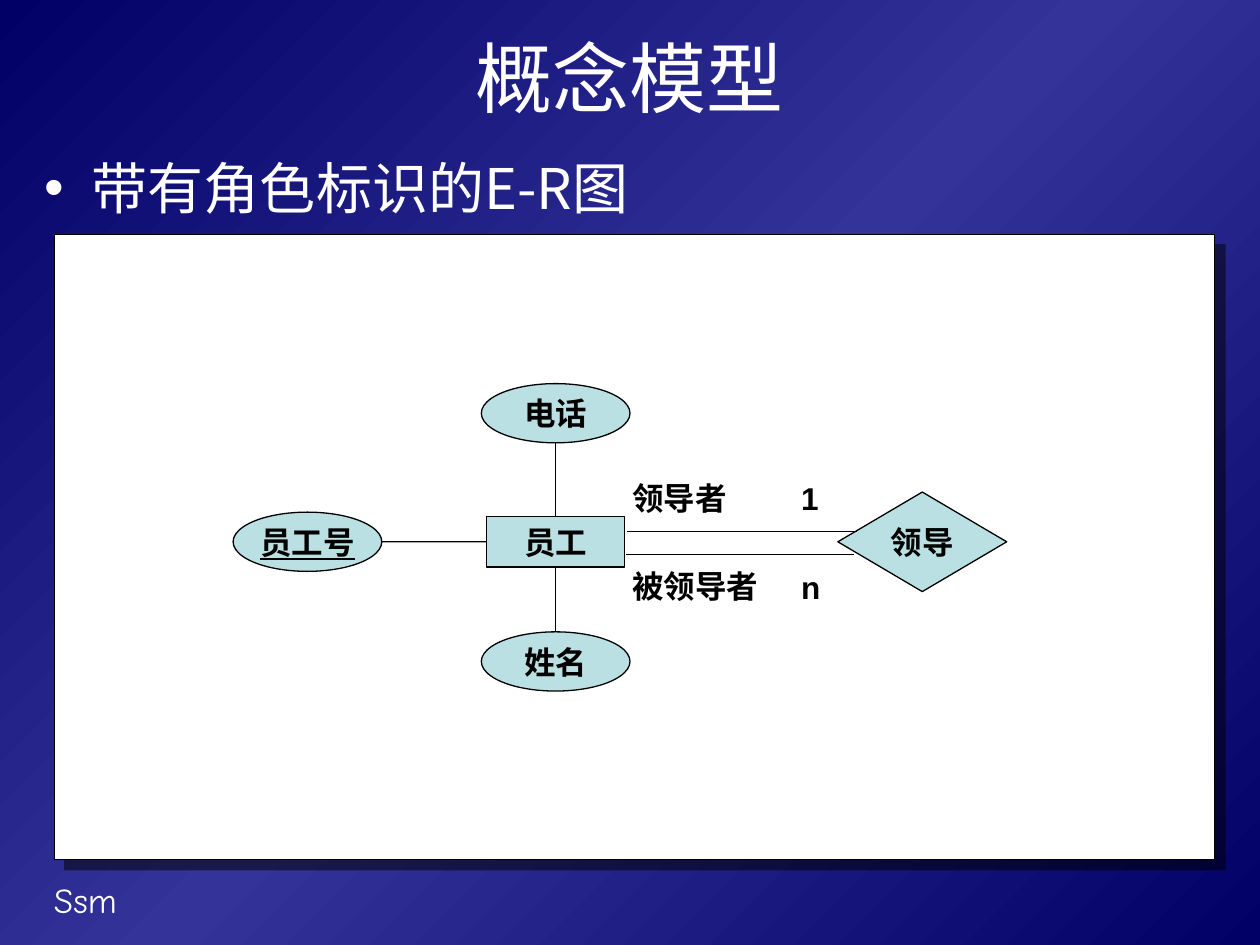
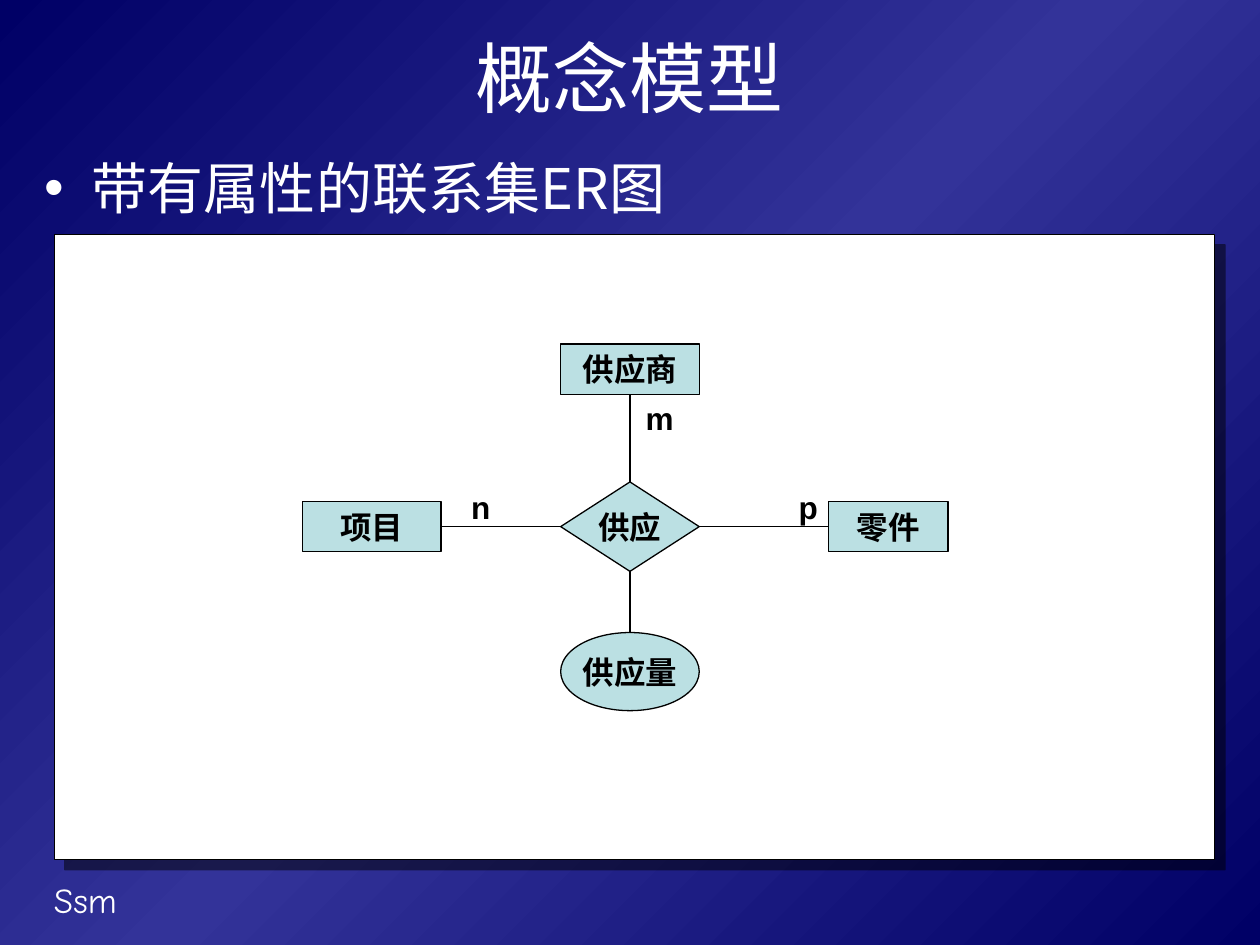
from copy import deepcopy
from dataclasses import dataclass

from lxml.etree import SubElement
from pptx import Presentation
from pptx.dml.color import RGBColor
from pptx.enum.shapes import MSO_CONNECTOR, MSO_SHAPE
from pptx.enum.text import MSO_ANCHOR, MSO_AUTO_SIZE, PP_ALIGN
from pptx.oxml.ns import qn
from pptx.util import Inches, Pt

TITLE = "概念模型"
FOOTER = "Ssm"

# Nodes: name -> (kind, centre, size); links: (node, side) pairs;
# role_lines: (from, to); labels: (text, box)
SLIDES = [
    {
        "heading": "带有角色标识的E-R图",
        "nodes": {
            "员工": ("entity", (4.41, 4.3), (1.1, 0.4)),
            "员工号": ("attribute", (2.44, 4.3), (1.18, 0.47)),
            "电话": ("attribute", (4.41, 3.28), (1.18, 0.47)),
            "姓名": ("attribute", (4.41, 5.25), (1.18, 0.47)),
            "领导": ("relationship", (7.32, 4.3), (1.34, 0.79)),
        },
        "key": "员工号",
        "links": [
            (("员工号", "right"), ("员工", "left")),
            (("电话", "bottom"), ("员工", "top")),
            (("员工", "bottom"), ("姓名", "top")),
        ],
        "role_lines": [((4.98, 4.22), (6.8, 4.22)), ((4.97, 4.4), (6.78, 4.4))],
        "labels": [
            ("领导者", (4.92, 3.75, 1.18, 0.4)),
            ("1", (6.26, 3.75, 0.39, 0.4)),
            ("被领导者", (4.92, 4.45, 1.42, 0.4)),
            ("n", (6.26, 4.46, 0.39, 0.4)),
        ],
        "label_style": (PP_ALIGN.LEFT, MSO_ANCHOR.TOP),
    },
    {
        "heading": "带有属性的联系集ER图",
        "nodes": {
            "供应商": ("entity", (5, 2.93), (1.1, 0.4)),
            "零件": ("entity", (7.05, 4.18), (0.95, 0.4)),
            "项目": ("entity", (2.95, 4.18), (1.1, 0.4)),
            "供应量": ("attribute", (5, 5.33), (1.1, 0.62)),
            "供应": ("relationship", (5, 4.18), (1.1, 0.71)),
        },
        "key": None,
        "links": [
            (("供应商", "bottom"), ("供应", "top")),
            (("项目", "right"), ("供应", "left")),
            (("供应量", "top"), ("供应", "bottom")),
            (("零件", "left"), ("供应", "right")),
        ],
        "role_lines": [],
        "labels": [
            ("n", (3.5, 3.75, 0.63, 0.55)),
            ("m", (4.92, 3.04, 0.63, 0.55)),
            ("p", (6.1, 3.75, 0.63, 0.55)),
        ],
        "label_style": (PP_ALIGN.CENTER, MSO_ANCHOR.MIDDLE),
    },
]


@dataclass(frozen=True)
class Theme:
    navy: str = "000066"
    indigo: str = "333399"
    white: str = "FFFFFF"
    black: str = "000000"
    node: str = "BBE0E3"
    cjk_font: str = "Noto Sans CJK SC"
    label_font: str = "Arial"
    footer_font: str = "Comic Neue"
    title_size: int = 44
    heading_size: int = 32
    footer_size: int = 20
    label_size: int = 18
    line_width: float = 0.75


THEME = Theme()
TITLE_BOX = (0.5, 0.17, 9, 0.87)
HEADING_BOX = (0.25, 1.17, 9.58, 5.75)
PANEL_BOX = (0.43, 1.86, 9.21, 4.96)
FOOTER_BOX = (0.33, 6.92, 2.08, 0.44)
BULLET_INDENT = 0.38

NODE_SHAPES = {
    "entity": MSO_SHAPE.RECTANGLE,
    "attribute": MSO_SHAPE.OVAL,
    "relationship": MSO_SHAPE.DIAMOND,
}
# Side -> (connection site, horizontal and vertical direction from the centre)
SIDES = {"top": (0, 0, -1), "left": (1, -1, 0), "bottom": (2, 0, 1), "right": (3, 1, 0)}


def inches(values):
    return [Inches(value) for value in values]


def rgb(color):
    return RGBColor.from_string(color)


def place(shape, box):
    shape.left, shape.top, shape.width, shape.height = inches(box)


def write(shape, text, size, font, color, align=PP_ALIGN.LEFT,
          anchor=MSO_ANCHOR.TOP, wrap=True, bold=False, underline=False):
    frame = shape.text_frame
    frame.auto_size = MSO_AUTO_SIZE.NONE
    frame.word_wrap = wrap
    frame.vertical_anchor = anchor
    paragraph = frame.paragraphs[0]
    paragraph.alignment = align
    paragraph.space_before = Pt(0)
    run = paragraph.add_run()
    run.text = text
    run.font.size = Pt(size)
    run.font.name = font
    run.font.bold = bold
    run.font.underline = underline
    run.font.color.rgb = rgb(color)
    east_asian = SubElement(run.font._element, qn("a:ea"))
    east_asian.set("typeface", THEME.cjk_font)
    return paragraph


def add_bullet(paragraph):
    properties = paragraph._p.get_or_add_pPr()
    properties.set("marL", str(Inches(BULLET_INDENT)))
    properties.set("indent", str(-Inches(BULLET_INDENT)))
    bullet_color = SubElement(properties, qn("a:buClr"))
    SubElement(bullet_color, qn("a:srgbClr")).set("val", THEME.white)
    SubElement(properties, qn("a:buFont")).set("typeface", THEME.label_font)
    SubElement(properties, qn("a:buChar")).set("char", "•")


def paint_background(master):
    fill = master.background.fill
    fill.gradient()
    fill.gradient_angle = 315
    stop_list = master.element.find(".//" + qn("p:bg")).find(".//" + qn("a:gsLst"))
    stop_list.insert(1, deepcopy(stop_list[0]))
    colors = (THEME.navy, THEME.indigo, THEME.navy)
    for stop, color, position in zip(fill.gradient_stops, colors, (0, 0.5, 1)):
        stop.color.rgb = rgb(color)
        stop.position = position


def outline(line):
    line.color.rgb = rgb(THEME.black)
    line.width = Pt(THEME.line_width)


def add_box(slide, kind, box, color):
    shape = slide.shapes.add_shape(kind, *inches(box))
    shape.shadow.inherit = False
    shape.fill.solid()
    shape.fill.fore_color.rgb = rgb(color)
    outline(shape.line)
    return shape


def add_panel(slide):
    """White drawing area with a hard half-transparent shadow."""
    panel = add_box(slide, MSO_SHAPE.RECTANGLE, PANEL_BOX, THEME.white)
    effects = panel._element.spPr.find(qn("a:effectLst"))
    shadow = SubElement(effects, qn("a:outerShdw"), blurRad="0", dist=str(Pt(8.5)),
                        dir="2700000", algn="ctr", rotWithShape="0")
    shadow_color = SubElement(shadow, qn("a:srgbClr"), val=THEME.black)
    SubElement(shadow_color, qn("a:alpha"), val="50000")


def add_line(slide, start, end):
    line = slide.shapes.add_connector(MSO_CONNECTOR.STRAIGHT, *inches(start + end))
    SubElement(line._element.spPr, qn("a:effectLst"))
    outline(line.line)
    return line


def side_point(node, side):
    _, (x, y), (width, height) = node
    _, dx, dy = SIDES[side]
    return x + dx * width / 2, y + dy * height / 2


def add_diagram(slide, content):
    nodes, shapes = content["nodes"], {}
    for name, (kind, (x, y), (width, height)) in nodes.items():
        box = (x - width / 2, y - height / 2, width, height)
        shapes[name] = add_box(slide, NODE_SHAPES[kind], box, THEME.node)
        write(shapes[name], name, THEME.label_size, THEME.label_font, THEME.black,
              PP_ALIGN.CENTER, MSO_ANCHOR.MIDDLE, wrap=False, bold=True,
              underline=name == content["key"])

    for ends in content["links"]:
        line = add_line(slide, *(side_point(nodes[name], side) for name, side in ends))
        for connect, (name, side) in zip((line.begin_connect, line.end_connect), ends):
            if nodes[name][0] != "attribute":
                connect(shapes[name], SIDES[side][0])
    for start, end in content["role_lines"]:
        add_line(slide, start, end)

    for text, box in content["labels"]:
        label = slide.shapes.add_textbox(*inches(box))
        write(label, text, THEME.label_size, THEME.label_font, THEME.black,
              *content["label_style"], bold=True)


def add_slide(deck, content):
    slide = deck.slides.add_slide(deck.slide_layouts[1])
    title, heading = slide.shapes.title, slide.placeholders[1]
    place(title, TITLE_BOX)
    write(title, TITLE, THEME.title_size, THEME.cjk_font, THEME.white,
          PP_ALIGN.CENTER, MSO_ANCHOR.MIDDLE)
    place(heading, HEADING_BOX)
    add_bullet(write(heading, content["heading"], THEME.heading_size,
                     THEME.cjk_font, THEME.white))
    footer = slide.shapes.add_textbox(*inches(FOOTER_BOX))
    write(footer, FOOTER, THEME.footer_size, THEME.footer_font, THEME.white)
    add_panel(slide)
    add_diagram(slide, content)


def main():
    deck = Presentation()
    deck.slide_width, deck.slide_height = Inches(10), Inches(7.5)
    paint_background(deck.slide_master)
    for content in SLIDES:
        add_slide(deck, content)
    deck.save("out.pptx")


if __name__ == "__main__":
    main()
